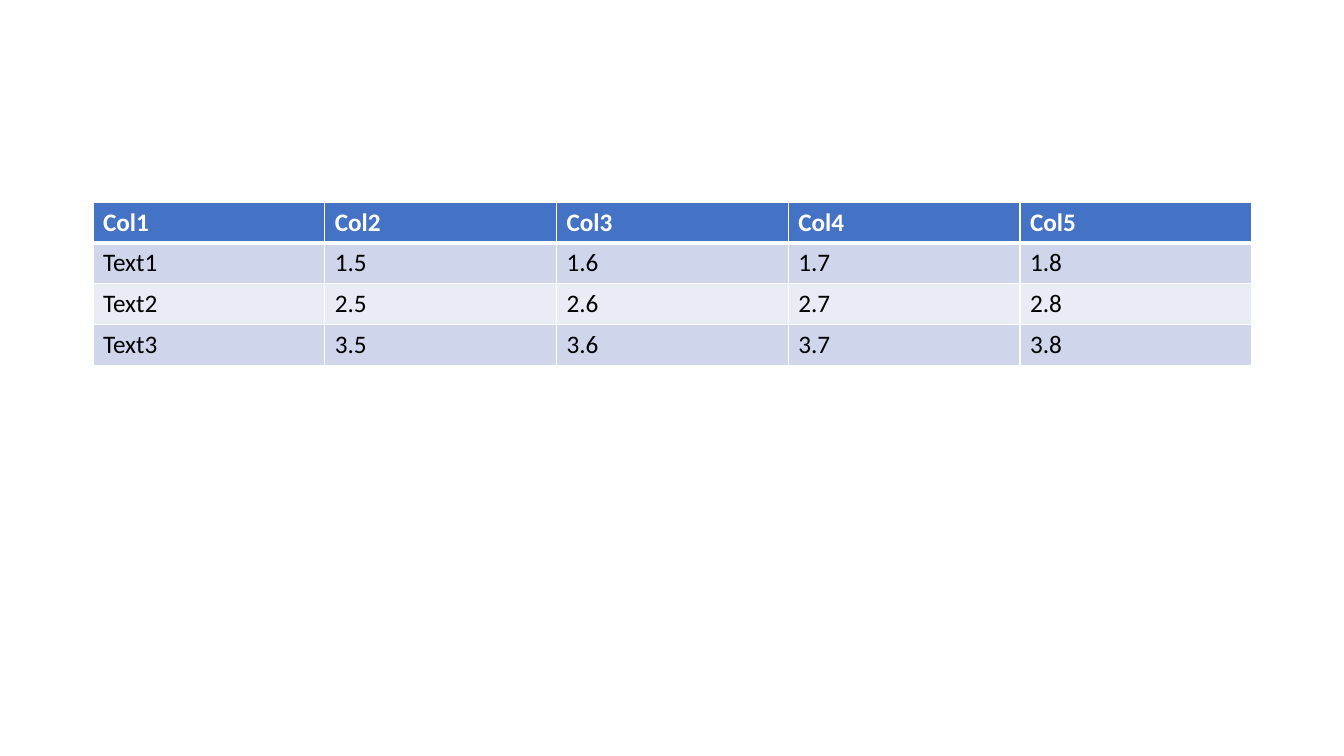
from lxml import etree
from pptx import Presentation
from pptx import util as u
from pptx.dml.color import RGBColor
from pptx.oxml import ns

WHITE = RGBColor(0xFF, 0xFF, 0xFF)
BLACK = RGBColor(0x00, 0x00, 0x00)
BLUE = RGBColor(0x44, 0x72, 0xC4)
BANDS = [RGBColor(0xE9, 0xEB, 0xF5), RGBColor(0xCF, 0xD5, 0xEA)]

ROWS = [
    ["Col1", "Col2", "Col3", "Col4", "Col5"],
    ["Text1", "1.5", "1.6", "1.7", "1.8"],
    ["Text2", "2.5", "2.6", "2.7", "2.8"],
    ["Text3", "3.5", "3.6", "3.7", "3.8"],
]


def px(n):
    return u.Emu(round(n * 914400 / 100.8))


def add_edge(cell, side, width):
    """Draw one white cell border, width in points."""
    props = cell._tc.get_or_add_tcPr()
    line = etree.SubElement(props, ns.qn("a:ln" + side), w=str(u.Pt(width)))
    fill = etree.SubElement(line, ns.qn("a:solidFill"))
    etree.SubElement(fill, ns.qn("a:srgbClr"), val=str(WHITE))


def style_cell(cell, row):
    head = row == 0
    # Borders: a thick rule parts the header from the body
    for side in "LRTB":
        thick = (row, side) in [(0, "B"), (1, "T")]
        add_edge(cell, side, 3 if thick else 1)
    cell.fill.solid()
    cell.fill.fore_color.rgb = BLUE if head else BANDS[row % 2]
    # Text
    font = cell.text_frame.paragraphs[0].runs[0].font
    font.name = "Calibri"
    font.size = u.Pt(18)
    font.bold = head
    font.color.rgb = WHITE if head else BLACK


def add_grid(slide, left, top, width, height):
    """Fill the box with equal rows and columns."""
    grid = slide.shapes.add_table(
        len(ROWS), len(ROWS[0]), px(left), px(top), px(width), px(height)
    ).table
    for col in grid.columns:
        col.width = px(width / len(ROWS[0]))
    for row, words in enumerate(ROWS):
        grid.rows[row].height = px(height / len(ROWS))
        for col, word in enumerate(words):
            cell = grid.cell(row, col)
            cell.text_frame.text = word
            style_cell(cell, row)


deck = Presentation()
deck.slide_width = px(1344)
deck.slide_height = px(756)
slide = deck.slides.add_slide(deck.slide_layouts[6])
add_grid(slide, 93, 202, 1159, 163)
deck.save("out.pptx")
